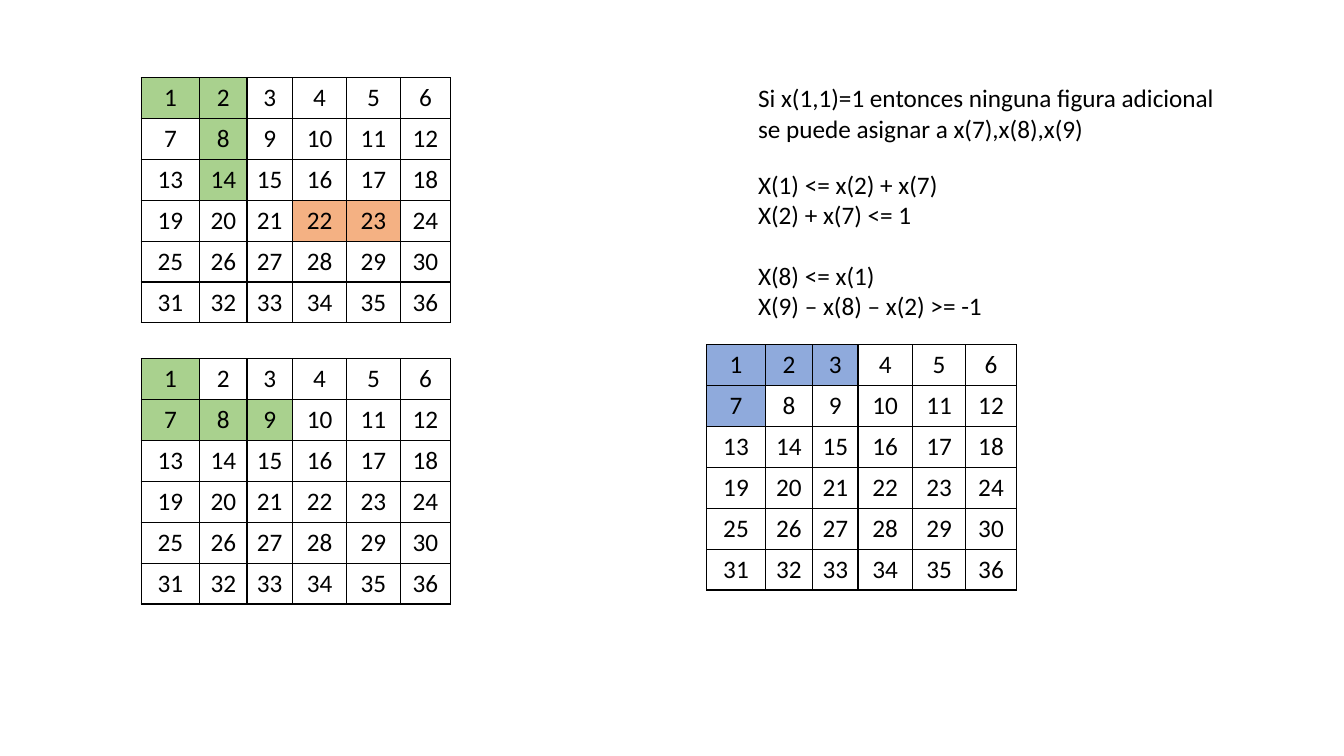
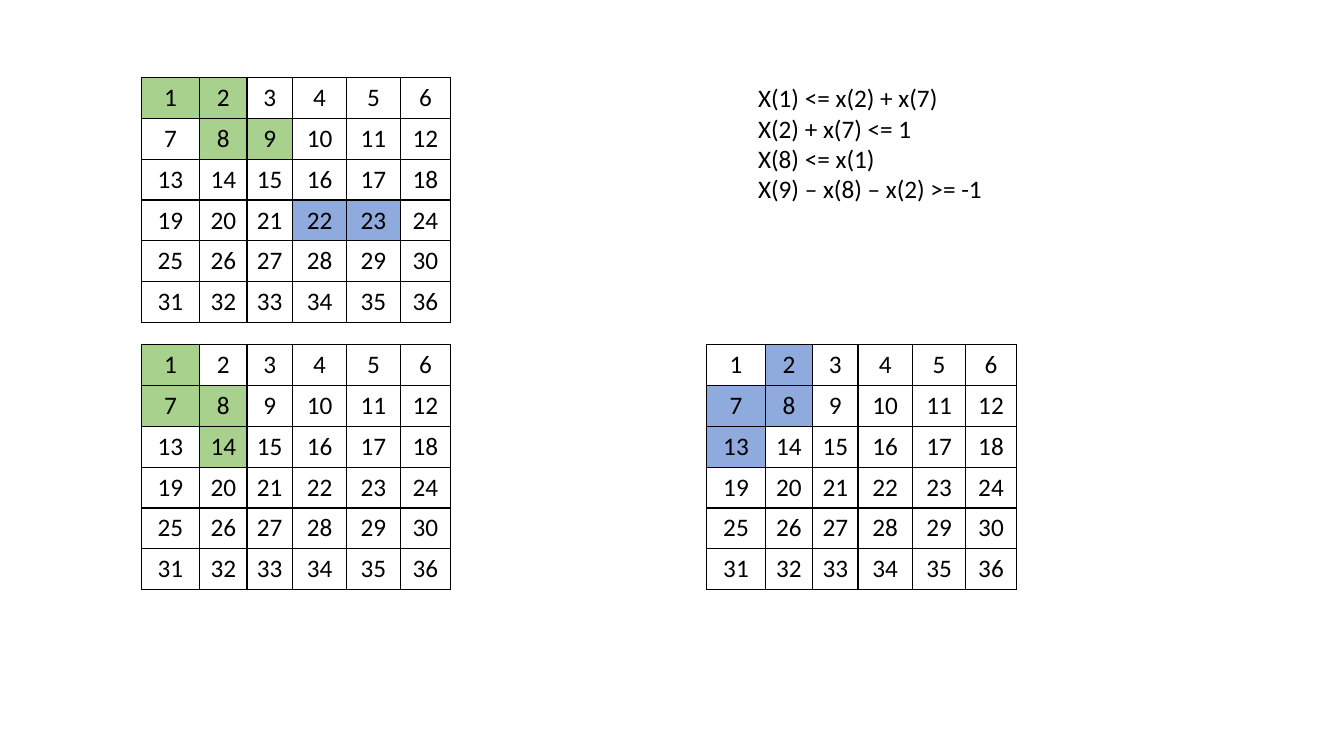
from pptx import Presentation
from pptx.dml.color import RGBColor
from pptx.enum.text import MSO_ANCHOR, PP_ALIGN
from pptx.oxml.ns import qn
from pptx.util import Inches, Pt
from lxml.etree import SubElement

HUES = {"ink": "000000", "green": "A9D18E", "orange": "F4B183", "blue": "8FAADC"}
FONT = {"name": "Calibri", "size": Pt(18), "bold": False}
COLS = [0.58, 0.47, 0.45, 0.54, 0.53, 0.5]
ROWS, HIGH = 6, 2.43
CELL = {"margin_left": Inches(0.05), "margin_right": Inches(0.05),
        "vertical_anchor": MSO_ANCHOR.MIDDLE}
PLAIN = {"first_row": False, "horz_banding": False}

# Left and top of each region
UPPER, LOWER, RIGHT = (1.4, 0.77), (1.4, 3.42), (7.01, 3.42)
NOTE = (7.42, 0.77)
NOTE_WIDE = 4.76

COVER = ["X(1) <= x(2) + x(7)", "X(2) + x(7) <= 1"]
SHAPE = ["X(8) <= x(1)", "X(9) – x(8) – x(2) >= -1"]

# Each slide: grids as (place, {colour: numbers}), notes as (place, height, groups)
SLIDES = [
    {"grids": [(UPPER, {"green": [1, 2, 8, 14], "orange": [22, 23]}),
               ((1.4, 3.56), {"green": [1, 7, 8, 9]}),
               (RIGHT, {"blue": [1, 2, 3, 7]})],
     "notes": [(NOTE, 1.62, [["Si x(1,1)=1 entonces ninguna figura adicional "
                              "se puede asignar a x(7),x(8),x(9)"]]),
               ((7.42, 1.63), 2.52, [COVER, SHAPE])]},
    {"grids": [(UPPER, {"green": [1, 2, 8, 9], "blue": [22, 23]}),
               (LOWER, {"green": [1, 7, 8, 14]}),
               (RIGHT, {"blue": [2, 7, 8, 13]})],
     "notes": [(NOTE, 2.22, [COVER + SHAPE])]},
]


def apply(item, form):
    for key, value in form.items():
        setattr(item, key, value)


def paint(name):
    return RGBColor.from_string(HUES[name])


def write(para, text):
    run = para.add_run()
    run.text = text
    apply(run.font, FONT)
    run.font.color.rgb = paint("ink")


def border(cell):
    props = cell._tc.get_or_add_tcPr()
    for side in ("a:lnL", "a:lnR", "a:lnT", "a:lnB"):
        line = SubElement(props, qn(side), w=str(Pt(1)))
        fill = SubElement(line, qn("a:solidFill"))
        SubElement(fill, qn("a:srgbClr"), val=HUES["ink"])


# Numbered grid with some cells coloured
def add_grid(slide, place, marks):
    left, top = place
    frame = slide.shapes.add_table(ROWS, len(COLS), Inches(left), Inches(top),
                                   Inches(sum(COLS)), Inches(HIGH))
    table = frame.table
    apply(table, PLAIN)
    for col, wide in zip(table.columns, COLS):
        col.width = Inches(wide)
    for row in table.rows:
        row.height = Inches(HIGH / ROWS)
    tints = {num: hue for hue, nums in marks.items() for num in nums}
    for num, cell in enumerate(table.iter_cells(), 1):
        apply(cell, CELL)
        border(cell)
        if num in tints:
            cell.fill.solid()
            cell.fill.fore_color.rgb = paint(tints[num])
        else:
            cell.fill.background()
        para = cell.text_frame.paragraphs[0]
        para.alignment = PP_ALIGN.CENTER
        write(para, str(num))


# Text block; groups of lines are one line apart
def add_note(slide, place, high, groups):
    left, top = place
    box = slide.shapes.add_textbox(Inches(left), Inches(top),
                                   Inches(NOTE_WIDE), Inches(high))
    frame = box.text_frame
    frame.word_wrap = True
    para = frame.paragraphs[0]
    for index, group in enumerate(groups):
        for spot, text in enumerate(group):
            if index or spot:
                para = frame.add_paragraph()
            if index and not spot:
                para.space_before = Pt(22)
            write(para, text)


def main():
    deck = Presentation()
    apply(deck, {"slide_width": Inches(13.33), "slide_height": Inches(7.5)})
    for page in SLIDES:
        slide = deck.slides.add_slide(deck.slide_layouts[6])
        for grid in page["grids"]:
            add_grid(slide, *grid)
        for note in page["notes"]:
            add_note(slide, *note)
    deck.save("out.pptx")


if __name__ == "__main__":
    main()
